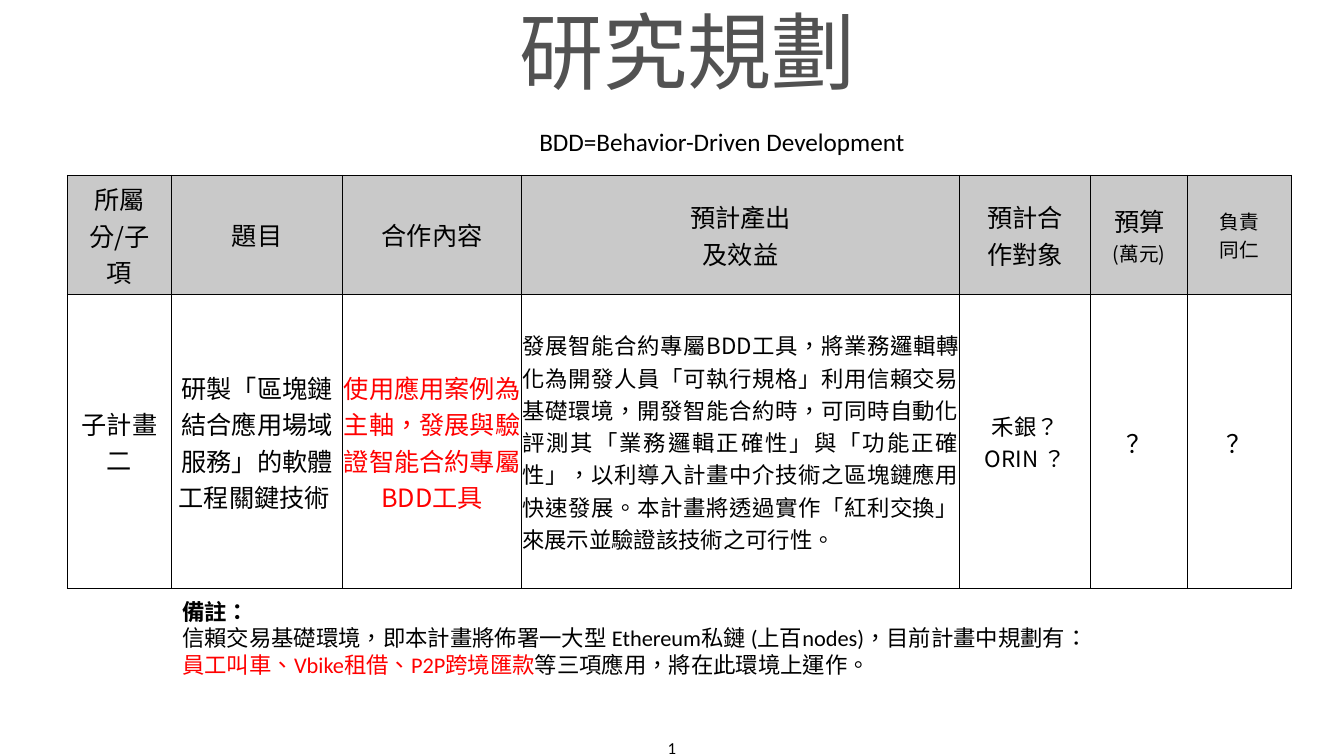
from lxml.etree import SubElement
from pptx import Presentation
from pptx.dml.color import RGBColor
from pptx.enum.text import MSO_ANCHOR as Anchor, MSO_AUTO_SIZE as AutoSize, PP_ALIGN as Align
from pptx.oxml.ns import qn
from pptx.util import Inches, Pt

COLORS = {"ink": "000000", "title": "525252", "accent": "FF0000", "header": "C9C9C9"}
LATIN, CJK = "Calibri", "Noto Sans CJK SC"


class PlanSlide:
    def __init__(self, slide):
        self.slide = slide
        self.base = {"size": 18, "name": LATIN, "color": "ink", "bold": False}

    def write_run(self, paragraph, text, style, east_asian=None):
        for index, line in enumerate(text.split("\n")):
            if index:
                paragraph.add_line_break()
            if not line:
                continue
            run = paragraph.add_run()
            run.text = line
            look = {**self.base, **style}
            run.font.color.rgb = RGBColor.from_string(COLORS[look.pop("color")])
            look["size"] = Pt(look["size"])
            for key, value in look.items():
                setattr(run.font, key, value)
            run.font._element.set("lang", "zh-TW")
            if east_asian:
                SubElement(run.font._element, qn("a:ea"), typeface=east_asian)

    def fill_frame(self, frame, paragraphs, align, east_asian=None, spacing=None):
        for index, runs in enumerate(paragraphs):
            paragraph = frame.add_paragraph() if index else frame.paragraphs[0]
            paragraph.alignment = align
            if spacing:
                paragraph.line_spacing = spacing
            for text, style in runs:
                self.write_run(paragraph, text, style, east_asian)

    def text(self, box, paragraphs, align=Align.LEFT, spacing=None, **frame_format):
        frame = self.slide.shapes.add_textbox(*map(Inches, box)).text_frame
        for key, value in {"word_wrap": True, **frame_format}.items():
            setattr(frame, key, value)
        self.fill_frame(frame, paragraphs, align, spacing=spacing)

    def border(self, cell):
        properties = cell._tc.get_or_add_tcPr()
        for side in ("lnL", "lnR", "lnT", "lnB"):
            line = SubElement(properties, qn(f"a:{side}"), w=str(Pt(1)))
            solid = SubElement(line, qn("a:solidFill"))
            SubElement(solid, qn("a:srgbClr"), val=COLORS["ink"])

    def cell(self, cell, paragraphs, align=Align.CENTER, fill=None, tight=False):
        cell.vertical_anchor = Anchor.MIDDLE
        if tight:
            margins = {"margin_left": 0.01, "margin_right": 0.01, "margin_top": 0.01, "margin_bottom": 0}
            for key, value in margins.items():
                setattr(cell, key, Inches(value))
        self.border(cell)
        if fill:
            cell.fill.solid()
            cell.fill.fore_color.rgb = RGBColor.from_string(COLORS[fill])
        else:
            cell.fill.background()
        self.fill_frame(cell.text_frame, paragraphs, align, CJK)

    def table(self, left, top, widths, heights, rows):
        box = left, top, sum(widths), sum(heights)
        grid = self.slide.shapes.add_table(len(heights), len(widths), *map(Inches, box)).table
        grid.first_row = grid.horz_banding = False
        for column, width in zip(grid.columns, widths):
            column.width = Inches(width)
        for row, height in zip(grid.rows, heights):
            row.height = Inches(height)
        for row, contents in zip(grid.rows, rows):
            for cell, content in zip(row.cells, contents):
                self.cell(cell, **content)


def main():
    deck = Presentation()
    deck.slide_width, deck.slide_height = Inches(13.33), Inches(7.5)
    plan = PlanSlide(deck.slides.add_slide(deck.slide_layouts[6]))

    plan.text((1.94, 0.13, 9.75, 0.93),
              [[("研究規劃", {"size": 60, "name": "Montserrat", "color": "title"})]],
              Align.CENTER, 0.9, vertical_anchor=Anchor.BOTTOM)
    plan.text((5.4, 7.37, 2.53, 0.1), [[("1", {"size": 12})]], Align.CENTER,
              vertical_anchor=Anchor.MIDDLE, margin_top=0, margin_bottom=0)

    large = {"name": CJK}
    medium = {**large, "size": 16}
    small = {**large, "size": 14}
    headings = [
        [("所屬分/子項", large)], [("題目", large)], [("合作內容", large)],
        [("預計產出\n及效益", large)], [("預計合\n作對象", large)],
        [("預算\n", large), ("(萬元)", small)], [("負責\n同仁", small)],
    ]
    outcome = ("發展智能合約專屬BDD工具，將業務邏輯轉化為開發人員「可執行規格」利用信賴交易基礎環境，"
               "開發智能合約時，可同時自動化評測其「業務邏輯正確性」與「功能正確性」，"
               "以利導入計畫中介技術之區塊鏈應用快速發展。"
               "本計畫將透過實作「紅利交換」來展示並驗證該技術之可行性。")
    undecided = {"paragraphs": [[("？", large)]], "tight": True}
    subproject = [
        {"paragraphs": [[("子計畫二", large)]]},
        {"paragraphs": [[("研製「區塊鏈結合應用場域服務」的軟體工程關鍵技術 ", {})]], "tight": True},
        {"paragraphs": [[("使用應用案例為主軸，發展與驗證智能合約專屬BDD工具",
                          {**large, "color": "accent"})]], "tight": True},
        {"paragraphs": [[(outcome, medium)]], "align": Align.JUSTIFY, "tight": True},
        {"paragraphs": [[("禾銀？", medium)], [("ORIN ？", medium)]]},
        undecided,
        undecided,
    ]
    plan.table(0.67, 1.74, (1.03, 1.7, 1.77, 4.35, 1.3, 0.96, 1.03), (1.18, 2.92),
               [[{"paragraphs": [runs], "fill": "header"} for runs in headings], subproject])

    note = {"size": 16}
    plan.text((1.71, 5.88, 9.37, 0.91), [
        [("備註：", {**medium, "bold": True})],
        [("信賴交易基礎環境，即本計畫將佈署一大型 Ethereum私鏈 (上百nodes)，目前計畫中規劃有：", note),
         ("員工叫車、Vbike租借、P2P跨境匯款", {**note, "color": "accent"}),
         ("等三項應用，將在此環境上運作。", note)],
    ], auto_size=AutoSize.SHAPE_TO_FIT_TEXT)
    plan.text((5.25, 1.2, 3.88, 0.4), [[("BDD=Behavior-Driven Development", {})]],
              word_wrap=False, auto_size=AutoSize.SHAPE_TO_FIT_TEXT)

    deck.save("out.pptx")


if __name__ == "__main__":
    main()
